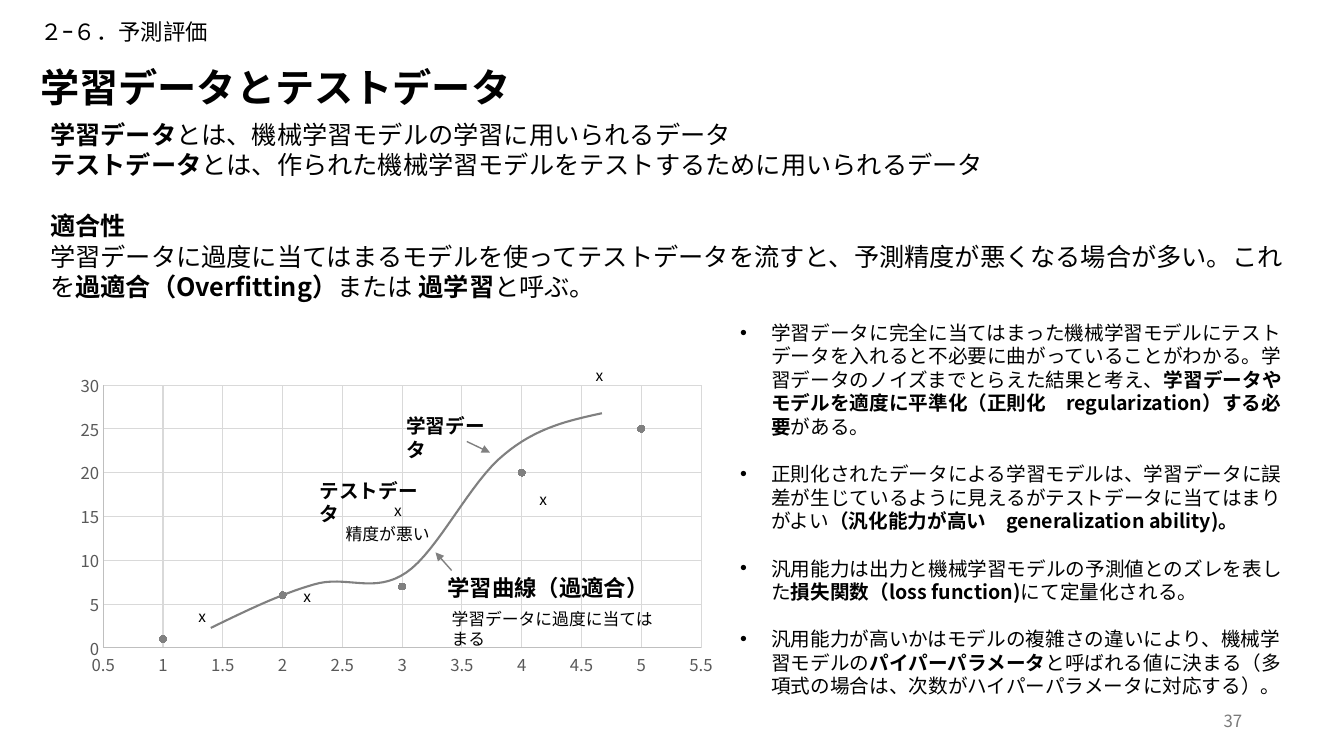
from lxml.etree import SubElement
from pptx import Presentation
from pptx.chart.data import XyChartData
from pptx.dml.color import RGBColor
from pptx.enum.chart import XL_CHART_TYPE as ChartType, XL_MARKER_STYLE as Marker, XL_TICK_MARK as Tick
from pptx.enum.shapes import MSO_CONNECTOR as Connector
from pptx.enum.text import MSO_ANCHOR as Anchor, MSO_AUTO_SIZE as AutoSize, PP_ALIGN as Align
from pptx.oxml.ns import qn
from pptx.util import Inches, Pt

FONT = "Noto Sans CJK JP"
BLACK = RGBColor(0x00, 0x00, 0x00)
GRAY = RGBColor(0x80, 0x80, 0x80)
AXIS_TEXT = RGBColor(0x59, 0x59, 0x59)
AXIS_LINE = RGBColor(0xBF, 0xBF, 0xBF)
GRID = RGBColor(0xD9, 0xD9, 0xD9)
PAGE_NUMBER = RGBColor(0x79, 0x79, 0x79)

DEFINITIONS = [
    "**学習データ**とは、機械学習モデルの学習に用いられるデータ",
    "**テストデータ**とは、作られた機械学習モデルをテストするために用いられるデータ",
]
FITNESS = [
    "**適合性**",
    "学習データに過度に当てはまるモデルを使ってテストデータを流すと、予測精度が悪くなる場合が多い。"
    "これを**過適合（Overfitting）**または** 過学習**と呼ぶ。",
]
NOTES = [
    "学習データに完全に当てはまった機械学習モデルにテストデータを入れると不必要に曲がっていることがわかる。"
    "学習データのノイズまでとらえた結果と考え、"
    "**学習データやモデルを適度に平準化（正則化　regularization）する必要**がある。",
    "正則化されたデータによる学習モデルは、学習データに誤差が生じているように見えるが"
    "テストデータに当てはまりがよい**（汎化能力が高い　generalization ability)。**",
    "汎用能力は出力と機械学習モデルの予測値とのズレを表した**損失関数（loss function)**にて定量化される。",
    "汎用能力が高いかはモデルの複雑さの違いにより、機械学習モデルの**パイパーパラメータ**と呼ばれる値に決まる"
    "（多項式の場合は、次数がハイパーパラメータに対応する）。",
]
TRAINING_POINTS = [(1, 1), (2, 6), (3, 7), (4, 20), (5, 25)]
TEST_MARKS = [(1.21, 2.59), (2.25, 2.4), (3.15, 1.54), (4.59, 1.43), (5.15, 0.2)]
CURVE_START = (1.43, 2.85)
CURVE = [
    [(1.78, 2.68), (2.13, 2.51), (2.45, 2.42)],
    [(2.77, 2.32), (3.05, 2.52), (3.37, 2.3)],
    [(3.68, 2.09), (4.01, 1.39), (4.34, 1.13)],
    [(4.66, 0.86), (4.99, 0.79), (5.31, 0.72)],
]
LABELS = [
    ("**学習曲線（過適合）**", 16, (3.68, 2.27, 2.36, 0.37)),
    ("**学習データ**", 14, (3.27, 0.68, 1.11, 0.34)),
    ("**テストデータ**", 14, (2.41, 1.32, 1.19, 0.34)),
    ("学習データに過度に当てはまる", 12, (3.72, 2.61, 2.35, 0.3)),
    ("精度が悪い", 12, (2.67, 1.77, 1.09, 0.3)),
]
ARROWS = [((3.97, 1.0), (4.2, 1.11)), ((3.82, 2.28), (3.66, 2.1))]


def apply(target, values):
    """Set each named attribute of the target."""
    for name, value in values.items():
        setattr(target, name, value)


def set_bullet(para, bullet):
    """Give the paragraph a hanging bullet, or none."""
    props = para._p.get_or_add_pPr()
    indent = Inches(0.31) if bullet else 0
    props.set("marL", str(indent))
    props.set("indent", str(-indent))
    if bullet:
        SubElement(props, qn("a:buFont")).set("typeface", "Arial")
        SubElement(props, qn("a:buChar")).set("char", "•")
    else:
        SubElement(props, qn("a:buNone"))


def write(shape, box, texts, size, color=BLACK, bullet=False, gap=0, spacing=None,
          align=Align.LEFT, anchor=Anchor.TOP):
    """Place a text shape and fill it; double asterisks enclose bold words."""
    apply(shape, dict(zip(("left", "top", "width", "height"), map(Inches, box))))
    frame = shape.text_frame
    apply(frame, {"word_wrap": True, "auto_size": AutoSize.NONE, "vertical_anchor": anchor})
    for index, text in enumerate(texts):
        para = frame.paragraphs[0] if index == 0 else frame.add_paragraph()
        set_bullet(para, bullet)
        apply(para, {"alignment": align, "line_spacing": spacing,
                     "space_before": Pt(gap if index else 0), "space_after": Pt(0)})
        for part, words in enumerate(text.split("**")):
            if words:
                span = para.add_run()
                span.text = words
                apply(span.font, {"size": Pt(size), "bold": part % 2 == 1, "name": FONT})
                span.font.color.rgb = color
                SubElement(span._r.get_or_add_rPr(), qn("a:ea")).set("typeface", FONT)


def add_text(page, box, texts, size, **values):
    """Add a text box with the given texts."""
    write(page.shapes.add_textbox(0, 0, 0, 0), box, texts, size, **values)


def add_heading(page, box):
    """Set the section line and the title in the template placeholders."""
    left, top, width, height = box
    write(page.shapes.title, (left, top + 0.47, width, height - 0.47),
          ["**学習データとテストデータ**"], 28, spacing=0.9)
    write(page.placeholders[1], (left, top, width, 0.4), ["２ｰ６．予測評価"], 16, spacing=0.9)


def add_explanation(page, box):
    """Add the two blocks of definitions."""
    left, top, width, height = box
    add_text(page, (left, top, width, 0.71), DEFINITIONS, 18)
    add_text(page, (left, top + 0.91, width, height - 0.91), FITNESS, 18)


def style_axis(axis, low, high, step):
    """Set the scale, lines and labels of one chart axis."""
    apply(axis, {"minimum_scale": low, "maximum_scale": high, "major_unit": step,
                 "major_tick_mark": Tick.NONE, "minor_tick_mark": Tick.NONE,
                 "has_major_gridlines": True, "has_title": False})
    apply(axis.tick_labels.font, {"size": Pt(12), "name": FONT})
    axis.tick_labels.font.color.rgb = AXIS_TEXT
    axis.tick_labels.number_format = "General"
    axis.tick_labels.number_format_is_linked = False
    for line, color in ((axis.format.line, AXIS_LINE), (axis.major_gridlines.format.line, GRID)):
        line.color.rgb = color
        line.width = Pt(0.75)


def add_scatter(page, box):
    """Add the scatter chart of the training data."""
    data = XyChartData()
    points = data.add_series("Series 1")
    for x, y in TRAINING_POINTS:
        points.add_data_point(x, y)
    chart = page.shapes.add_chart(ChartType.XY_SCATTER, *map(Inches, box), data).chart
    apply(chart, {"has_legend": False, "has_title": False})
    apply(chart.font, {"size": Pt(10), "name": FONT})
    chart.font.color.rgb = BLACK
    style_axis(chart.category_axis, 0.5, 5.5, 0.5)
    style_axis(chart.value_axis, 0, 30, 5)
    plot = chart.plots[0]
    plot.vary_by_categories = False
    series = plot.series[0]
    series.format.line.fill.background()
    apply(series.marker, {"style": Marker.CIRCLE, "size": 5})
    series.marker.format.fill.solid()
    series.marker.format.fill.fore_color.rgb = GRAY
    series.marker.format.line.color.rgb = GRAY
    area = chart._chartSpace.chart.plotArea
    for old in area.findall(qn("c:layout")):
        area.remove(old)
    layout = SubElement(area, qn("c:layout"))
    area.insert(0, layout)
    manual = SubElement(layout, qn("c:manualLayout"))
    for tag, value in (("layoutTarget", "inner"), ("xMode", "edge"), ("yMode", "edge"),
                       ("x", 0.057), ("y", 0.136), ("w", 0.928), ("h", 0.806)):
        SubElement(manual, qn("c:" + tag)).set("val", str(value))


def curve_points(steps=16):
    """Return points along the joined cubic curves."""
    points, start = [CURVE_START], CURVE_START
    for first, second, end in CURVE:
        for t in (step / steps for step in range(1, steps + 1)):
            weights = ((1 - t) ** 3, 3 * t * (1 - t) ** 2, 3 * t ** 2 * (1 - t), t ** 3)
            knots = (start, first, second, end)
            points.append(tuple(sum(w * k[axis] for w, k in zip(weights, knots)) for axis in (0, 1)))
        start = end
    return points


def add_graph(page, box):
    """Add the chart with its learning curve, test marks, labels and arrows."""
    left, top = box[:2]
    add_scatter(page, box)
    points = [(Inches(left + x), Inches(top + y)) for x, y in curve_points()]
    builder = page.shapes.build_freeform(*points[0])
    builder.add_line_segments(points[1:], close=False)
    curve = builder.convert_to_shape()
    curve.shadow.inherit = False
    curve.fill.background()
    curve.line.color.rgb = GRAY
    curve.line.width = Pt(1.5)
    marks = [("x", 11, (x, y, 0.45, 0.32)) for x, y in TEST_MARKS]
    for text, size, (x, y, width, height) in marks + LABELS:
        add_text(page, (left + x, top + y, width, height), [text], size)
    for start, end in ARROWS:
        ends = [Inches(base + value) for point in (start, end) for base, value in zip((left, top), point)]
        arrow = page.shapes.add_connector(Connector.STRAIGHT, *ends)
        arrow.line.color.rgb = GRAY
        arrow.line.width = Pt(1)
        SubElement(arrow.line._get_or_add_ln(), qn("a:tailEnd")).set("type", "triangle")
        SubElement(arrow._element.spPr, qn("a:effectLst"))


def main():
    """Build the slide and save the deck."""
    deck = Presentation()
    apply(deck, {"slide_width": Inches(13.33), "slide_height": Inches(7.5)})
    page = deck.slides.add_slide(deck.slide_layouts[3])
    add_heading(page, (0.3, 0.16, 11.5, 1.13))
    add_explanation(page, (0.4, 1.13, 12.63, 1.92))
    write(page.placeholders[2], (7.24, 3.13, 5.75, 3.64), NOTES, 14, bullet=True, gap=17)
    add_graph(page, (0.66, 3.38, 6.41, 3.33))
    add_text(page, (9.42, 6.95, 3, 0.4), ["37"], 12, color=PAGE_NUMBER,
             align=Align.RIGHT, anchor=Anchor.MIDDLE)
    deck.save("out.pptx")


if __name__ == "__main__":
    main()
